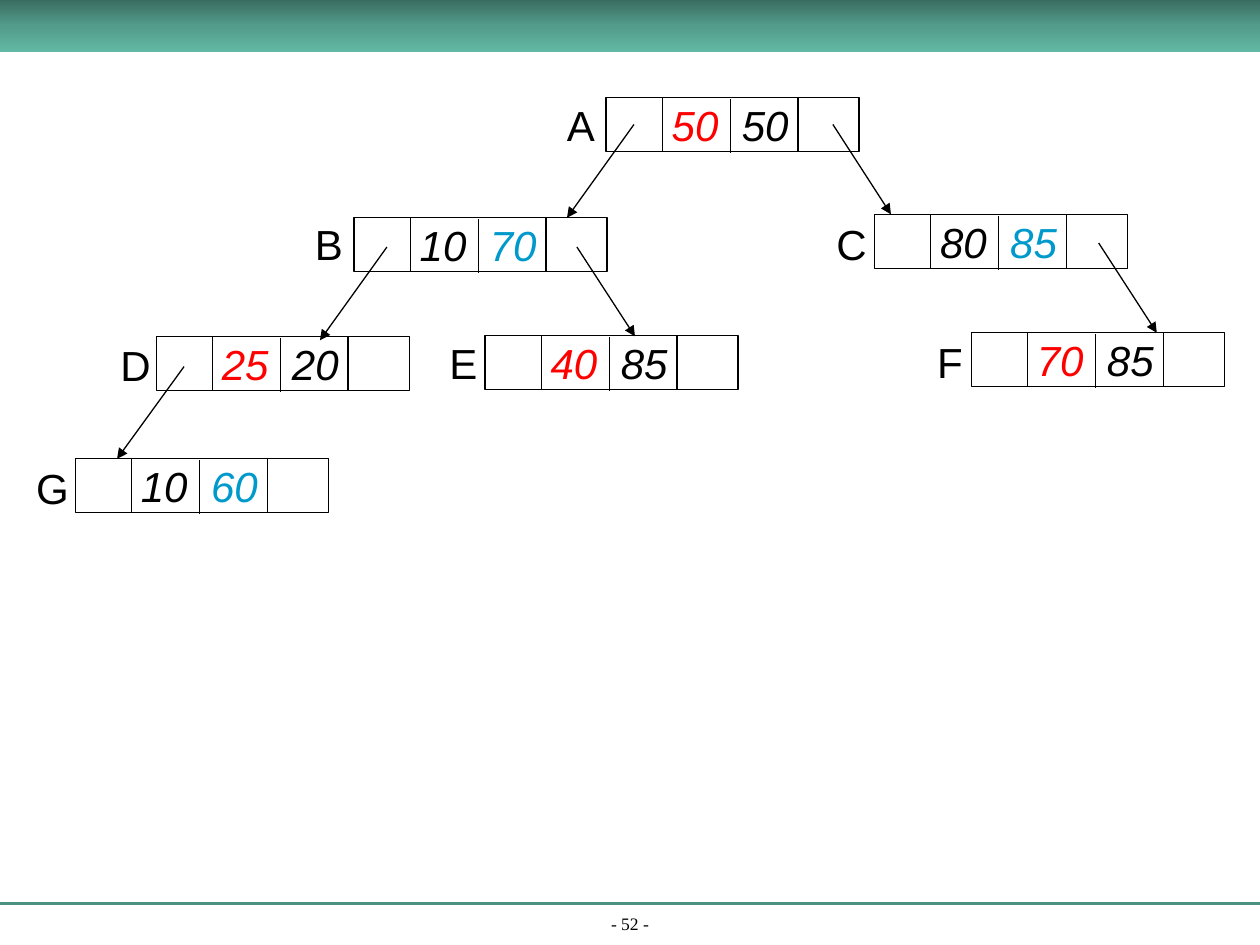
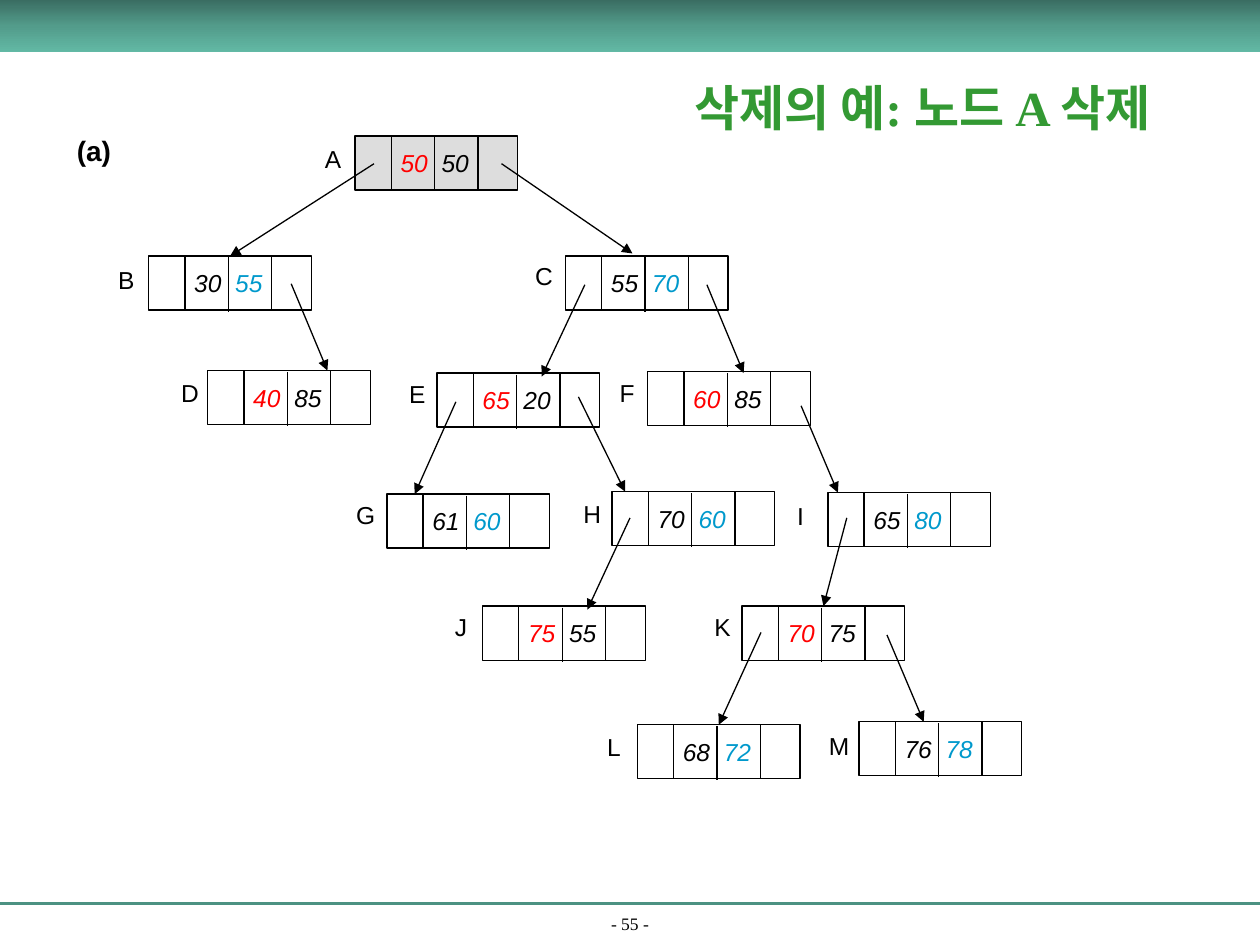
from lxml import etree
from pptx import Presentation
from pptx import util as u
from pptx.dml.color import RGBColor
from pptx.enum import shapes, text
from pptx.oxml.ns import qn

BLACK = RGBColor(0x00, 0x00, 0x00)
RED = RGBColor(0xFF, 0x00, 0x00)
BLUE = RGBColor(0x00, 0x99, 0xCC)
GREEN = RGBColor(0x33, 0x99, 0x33)
GREY = RGBColor(0xDD, 0xDD, 0xDD)
RULE = RGBColor(0x4C, 0x92, 0x82)
BAND_STOPS = [(0, "3A6D62"), (50000, "539C8B"), (100000, "62B9A5")]
SANS, SERIF = "Arial", "Times New Roman"
SLIDE_W, SLIDE_H = 25.4, 19.05
NODE_H = 1.09

# Each level lists its nodes: name, low, high, node corner, label corner,
# and the arrow that reaches the node (none for the root).
SMALL_TREE = [
    [("A", "50", "50", (12.22, 1.96), (11.18, 1.88), None)],
    [("B", "10", "70", (7.14, 4.39), (6.1, 4.29), (12.78, 2.51, 11.43, 4.39)),
     ("C", "80", "85", (17.63, 4.32), (16.61, 4.29), (16.79, 2.51, 17.96, 4.32))],
    [("D", "25", "20", (3.15, 6.78), (2.18, 6.71), (7.8, 4.98, 6.45, 6.86)),
     ("E", "40", "85", (9.78, 6.76), (8.81, 6.68), (11.63, 4.98, 12.8, 6.78)),
     ("F", "70", "85", (19.58, 6.71), (18.64, 6.65), (22.15, 4.9, 23.32, 6.71))],
    [("G", "10", "60", (1.52, 9.25), (0.48, 9.19), (3.71, 7.39, 2.36, 9.25))],
]
DELETION_TREE = [
    [("A", "50", "50", (7.16, 2.74), (6.3, 2.77), None)],
    [("B", "30", "55", (3.0, 5.16), (2.13, 5.21), (7.54, 3.3, 4.62, 5.08)),
     ("C", "55", "70", (11.4, 5.16), (10.54, 5.13), (10.11, 3.3, 12.75, 5.11))],
    [("D", "40", "85", (4.19, 7.47), (3.4, 7.49), (5.87, 5.72, 6.6, 7.47)),
     ("E", "65", "20", (8.81, 7.52), (8.0, 7.52), (11.79, 5.74, 10.92, 7.59)),
     ("F", "60", "85", (13.06, 7.49), (12.24, 7.49), (14.25, 5.74, 14.99, 7.52))],
    [("G", "61", "60", (7.8, 9.96), (6.93, 9.96), (9.19, 8.1, 8.36, 9.96)),
     ("H", "70", "60", (12.34, 9.91), (11.51, 9.93), (11.66, 8.0, 12.6, 9.91)),
     ("I", "65", "80", (16.69, 9.93), (15.82, 9.98), (16.15, 8.18, 16.89, 9.93))],
    [("J", "75", "55", (9.73, 12.22), (8.92, 12.22), (12.7, 10.44, 11.84, 12.29)),
     ("K", "70", "75", (14.96, 12.22), (14.15, 12.22), (17.07, 10.44, 16.56, 12.17))],
    [("L", "68", "72", (12.85, 14.61), (11.99, 14.63), (15.34, 12.75, 14.48, 14.61)),
     ("M", "76", "78", (17.32, 14.55), (16.46, 14.61), (17.88, 12.8, 18.62, 14.55))],
]
PAGES = [
    dict(number=52, tree=SMALL_TREE, deleted=None, size=24, node_w=5.1,
         pointer_w=1.13, keys_w=2.74, label=(1.17, 1.27)),
    dict(number=55, tree=DELETION_TREE, deleted="A", size=14, node_w=3.28,
         pointer_w=0.73, keys_w=1.75, label=(0.92, 0.84)),
]


def write(box, *parts, size, font=SANS, bold=False, italic=False, wrap=True,
          align=text.PP_ALIGN.LEFT, anchor=text.MSO_ANCHOR.TOP):
    """Fill the box with one paragraph; each part is (words, colour, letter spacing)."""
    frame = box.text_frame
    frame.word_wrap = wrap
    frame.vertical_anchor = anchor
    para = frame.paragraphs[0]
    para.alignment = align
    for words, colour, spacing in parts:
        span = para.add_run()
        span.text = words
        span.font.size = u.Pt(size)
        span.font.name = font
        span.font.bold = bold
        span.font.italic = italic
        span.font.color.rgb = colour
        if spacing:
            span.font._element.set("spc", str(round(spacing * 100)))


def draw_line(page, ends, colour=BLACK, width=0.75, arrow=False):
    line = page.shapes.add_connector(shapes.MSO_CONNECTOR.STRAIGHT, *map(u.Cm, ends))
    line.line.color.rgb = colour
    line.line.width = u.Pt(width)
    if arrow:
        etree.SubElement(line.line._get_or_add_ln(), qn("a:tailEnd"), type="triangle")
    etree.SubElement(line._element.spPr, qn("a:effectLst"))
    return line


deck = Presentation()
deck.slide_width, deck.slide_height = u.Cm(SLIDE_W), u.Cm(SLIDE_H)

for plan in PAGES:
    page = deck.slides.add_slide(deck.slide_layouts[6])

    # Shared footer and top band
    draw_line(page, (0, 18.21, SLIDE_W, 18.21), RULE, 1.5)
    footer = page.shapes.add_textbox(0, u.Cm(18.39), u.Cm(SLIDE_W), u.Cm(0.56))
    write(footer, (f"- {plan['number']} -", BLACK, 0), size=10, font=SERIF,
          align=text.PP_ALIGN.CENTER, anchor=text.MSO_ANCHOR.BOTTOM)
    band = page.shapes.add_shape(shapes.MSO_SHAPE.RECTANGLE, 0, 0, u.Cm(SLIDE_W), u.Cm(1.06))
    band.shadow.inherit = False
    band.line.fill.background()
    band.fill.gradient()
    band.fill.gradient_angle = 270
    stops = band._element.spPr.find(".//" + qn("a:gsLst"))
    stops.clear()
    for position, colour in BAND_STOPS:
        stop = etree.SubElement(stops, qn("a:gs"), pos=str(position))
        etree.SubElement(stop, qn("a:srgbClr"), val=colour)

    # Tree: the compared key is the red low one on even levels, the blue high one on odd
    size, node_w = plan["size"], plan["node_w"]
    pointer_w, keys_w = plan["pointer_w"], plan["keys_w"]
    for depth, level in enumerate(plan["tree"]):
        low_colour, high_colour = (RED, BLACK) if depth % 2 == 0 else (BLACK, BLUE)
        for name, low, high, (x, y), label_corner, arrow in level:
            cells = []
            for left, width in ((x, node_w), (x + pointer_w, keys_w)):
                cell = page.shapes.add_shape(shapes.MSO_SHAPE.RECTANGLE,
                                             *map(u.Cm, (left, y, width, NODE_H)))
                cell.shadow.inherit = False
                cell.fill.background()
                cell.line.color.rgb = BLACK
                cell.line.width = u.Pt(0.75)
                cells.append(cell)
            node, keys = cells
            if name == plan["deleted"]:
                node.fill.solid()
                node.fill.fore_color.rgb = GREY
            write(keys, (low, low_colour, 0), (" ", BLACK, size * 0.28), (high, high_colour, 0),
                  size=size, italic=True, wrap=False,
                  align=text.PP_ALIGN.CENTER, anchor=text.MSO_ANCHOR.MIDDLE)
            middle = x + pointer_w + keys_w / 2
            draw_line(page, (middle, y + 0.03, middle, y + 0.03 + NODE_H))
            label = page.shapes.add_textbox(*map(u.Cm, label_corner + plan["label"]))
            write(label, (name, BLACK, 0), size=size)
            if arrow:
                link = draw_line(page, arrow, arrow=True)
                if abs(arrow[2] - (x + node_w / 2)) < 0.1:
                    link.end_connect(node, 0)

# Heading and part label of the deletion page
part = page.shapes.add_textbox(u.Cm(1.3), u.Cm(2.57), u.Cm(1.65), u.Cm(0.94))
write(part, ("(a)", BLACK, 0), size=16, bold=True)
title = page.shapes.add_textbox(u.Cm(11.79), u.Cm(1.07), u.Cm(13.61), u.Cm(2.18))
write(title, ("삭제의 예: 노드 A 삭제", GREEN, 0), size=28, font=SERIF, bold=True,
      align=text.PP_ALIGN.CENTER, anchor=text.MSO_ANCHOR.MIDDLE)

deck.save("out.pptx")
